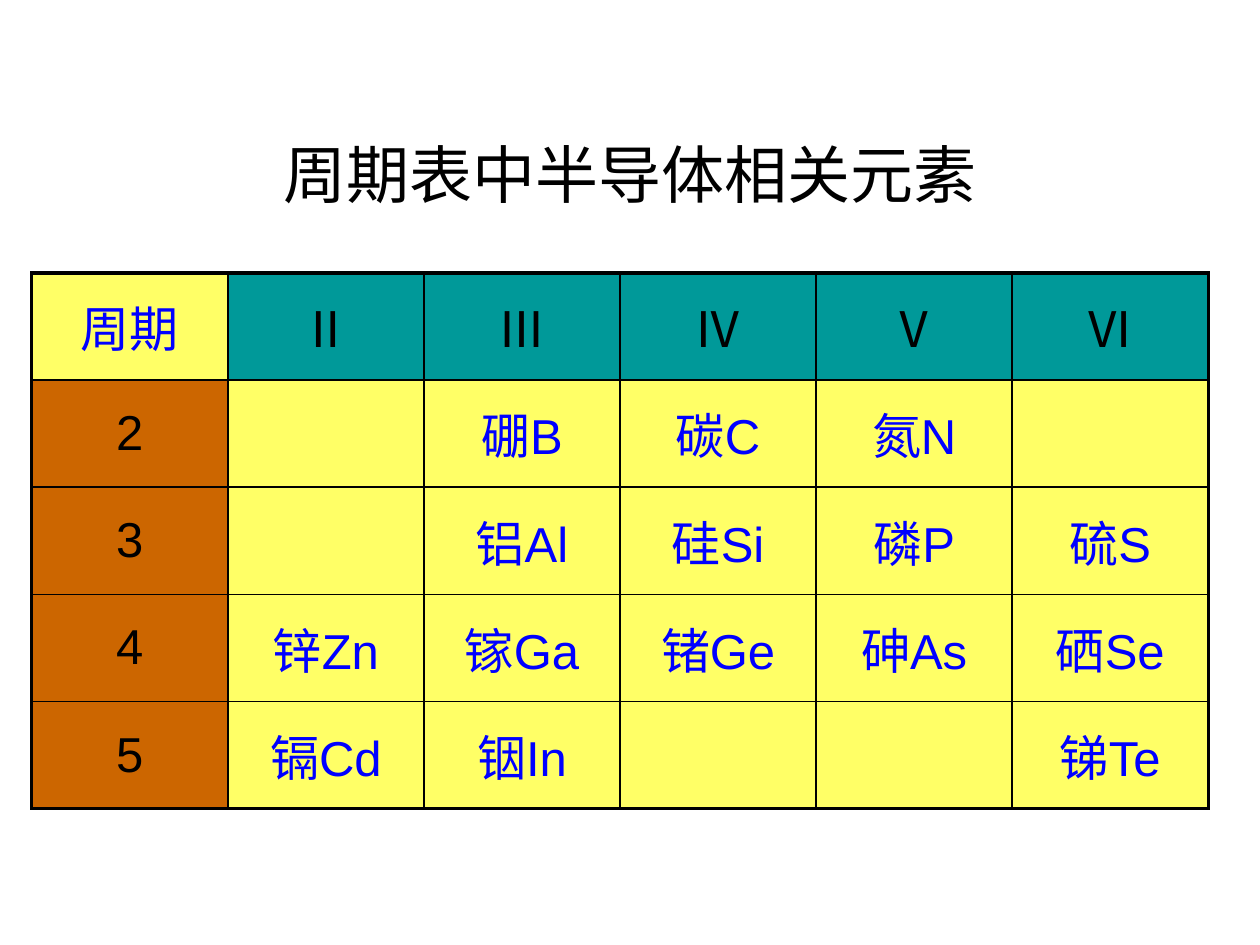
from lxml import etree
from pptx import Presentation
from pptx.dml.color import RGBColor
from pptx.enum import text
from pptx.oxml import ns
from pptx.util import Cm, Pt

BLACK = RGBColor(0x00, 0x00, 0x00)
BLUE = RGBColor(0x00, 0x00, 0xFF)
YELLOW = RGBColor(0xFF, 0xFF, 0x66)
TEAL = RGBColor(0x00, 0x99, 0x99)
ORANGE = RGBColor(0xCC, 0x66, 0x00)
CJK_FONT = "Noto Sans CJK SC"

ELEMENTS = [
    ["周期", "Ⅱ", "Ⅲ", "Ⅳ", "Ⅴ", "Ⅵ"],
    ["2", "", "硼B", "碳C", "氮N", ""],
    ["3", "", "铝Al", "硅Si", "磷P", "硫S"],
    ["4", "锌Zn", "镓Ga", "锗Ge", "砷As", "硒Se"],
    ["5", "镉Cd", "铟In", "", "", "锑Te"],
]


def format_text(text_frame, size, font_name, color):
    paragraph = text_frame.paragraphs[0]
    paragraph.alignment = text.PP_ALIGN.CENTER
    for run in paragraph.runs:
        run.font.size = Pt(size)
        run.font.name = font_name
        run.font.color.rgb = color
        east_asian = etree.SubElement(run.font._element, ns.qn("a:ea"))
        east_asian.set("typeface", CJK_FONT)


def add_border(cell, side, width):
    properties = cell._tc.get_or_add_tcPr()
    line = etree.SubElement(properties, ns.qn(f"a:ln{side}"), w=str(Pt(width)))
    fill = etree.SubElement(line, ns.qn("a:solidFill"))
    etree.SubElement(fill, ns.qn("a:srgbClr"), val=str(BLACK))


presentation = Presentation()
presentation.slide_width = Cm(25.4)
presentation.slide_height = Cm(19.05)
slide = presentation.slides.add_slide(presentation.slide_layouts[6])

title = slide.shapes.add_textbox(Cm(0.84), Cm(1.9), Cm(23.72), Cm(3.18))
title.text_frame.word_wrap = True
title.text_frame.vertical_anchor = text.MSO_ANCHOR.MIDDLE
title.text_frame.text = "周期表中半导体相关元素"
format_text(title.text_frame, 36, CJK_FONT, BLACK)

row_count, column_count = len(ELEMENTS), len(ELEMENTS[0])
table = slide.shapes.add_table(
    row_count, column_count, Cm(0.64), Cm(5.5), Cm(23.72), Cm(10.8)
).table
for column in table.columns:
    column.width = Cm(23.72 / column_count)
for row in table.rows:
    row.height = Cm(10.8 / row_count)

for row_index, labels in enumerate(ELEMENTS):
    for column_index, label in enumerate(labels):
        cell = table.cell(row_index, column_index)
        outer_sides = {
            "L": column_index == 0,
            "R": column_index == column_count - 1,
            "T": row_index == 0,
            "B": row_index == row_count - 1,
        }
        for side, is_outer in outer_sides.items():
            add_border(cell, side, 2.25 if is_outer else 1)

        fill_color, text_color, font_name = YELLOW, BLUE, "Arial"
        if row_index == 0 and column_index > 0:
            fill_color, text_color, font_name = TEAL, BLACK, CJK_FONT
        elif row_index > 0 and column_index == 0:
            fill_color, text_color = ORANGE, BLACK
        cell.fill.solid()
        cell.fill.fore_color.rgb = fill_color
        cell.vertical_anchor = text.MSO_ANCHOR.MIDDLE
        if label:
            cell.text_frame.text = label
            format_text(cell.text_frame, 28, font_name, text_color)

presentation.save("out.pptx")
